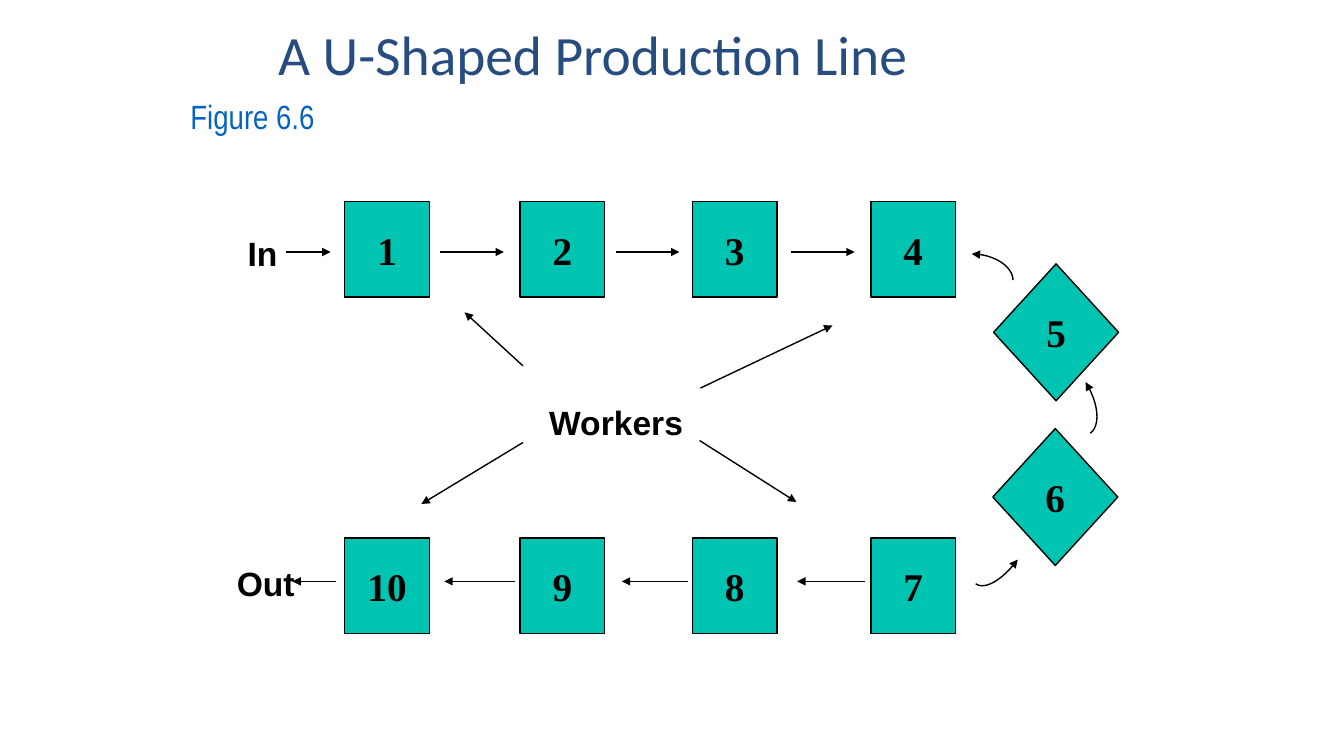
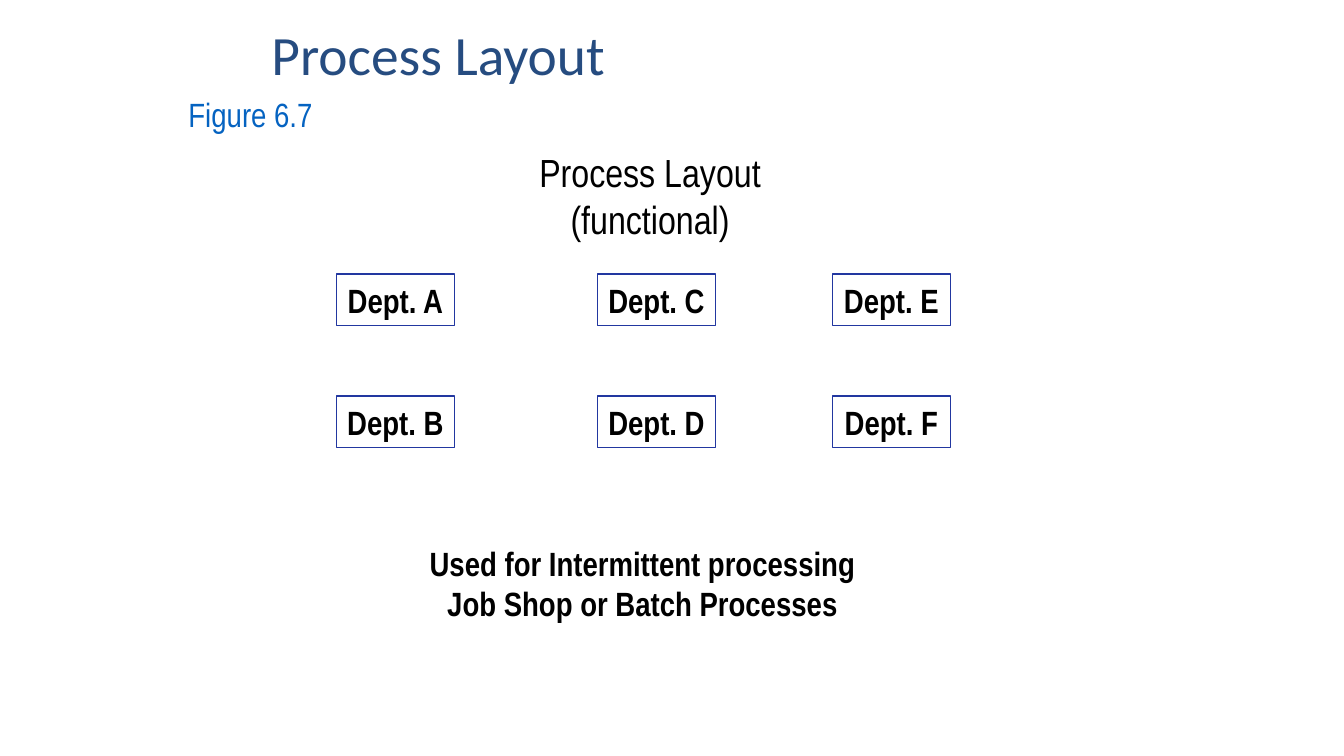
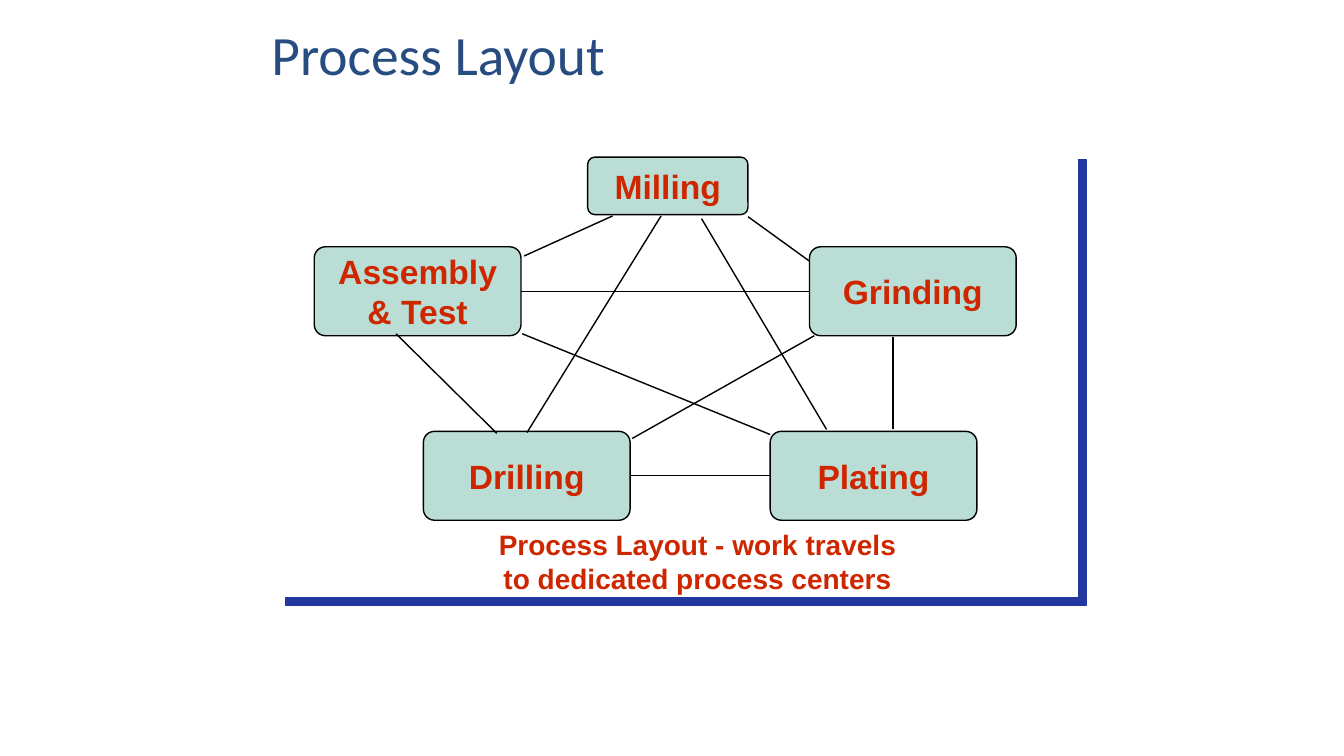
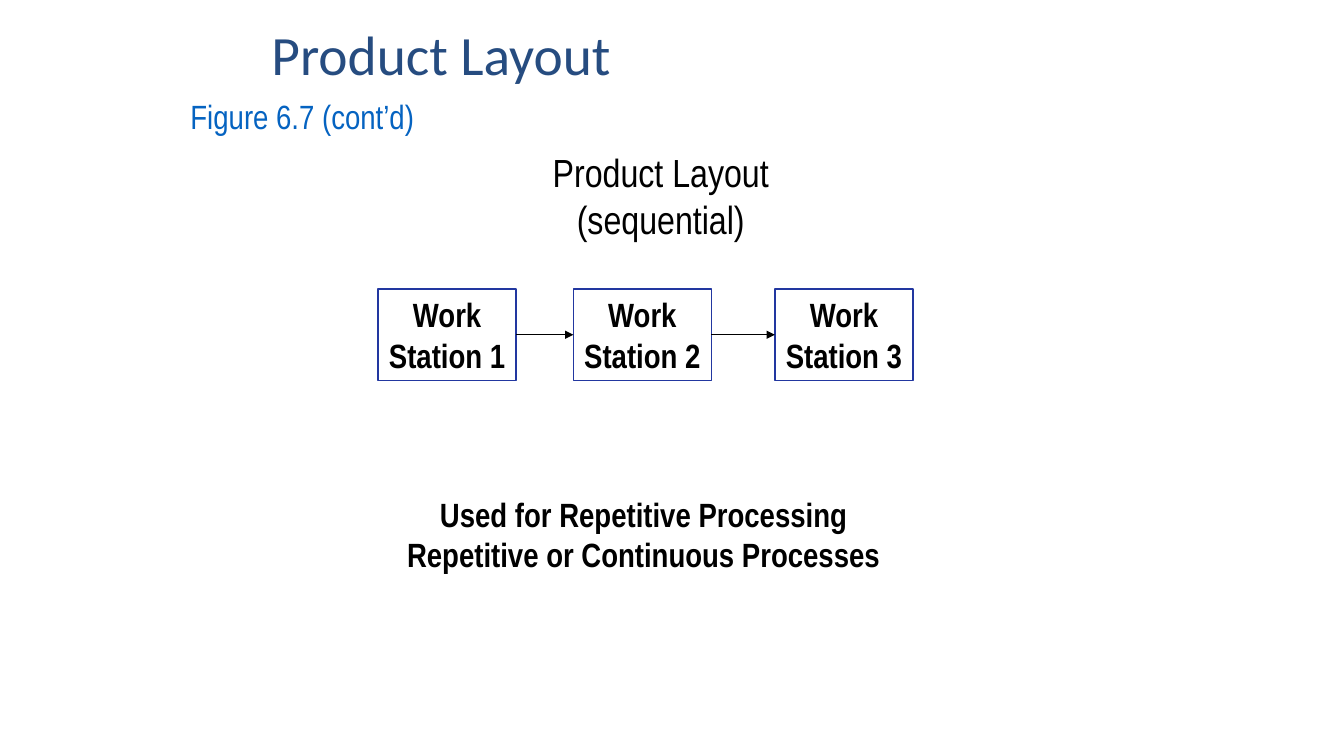
from lxml import etree
from pptx import Presentation
from pptx.dml.color import RGBColor
from pptx.enum.shapes import MSO_CONNECTOR, MSO_SHAPE
from pptx.enum.text import MSO_ANCHOR, MSO_AUTO_SIZE, PP_ALIGN
from pptx.oxml.ns import qn
from pptx.util import Cm, Pt

RECTANGLE, ROUNDED, DIAMOND = MSO_SHAPE.RECTANGLE, MSO_SHAPE.ROUNDED_RECTANGLE, MSO_SHAPE.DIAMOND
STRAIGHT = MSO_CONNECTOR.STRAIGHT
LEFT, CENTER = PP_ALIGN.LEFT, PP_ALIGN.CENTER
TOP, MIDDLE = MSO_ANCHOR.TOP, MSO_ANCHOR.MIDDLE
LEFT_SIDE, RIGHT_SIDE = 1, 3

TITLE_BLUE, FIGURE_BLUE, FRAME_BLUE = "264C80", "0563C1", "2237A0"
TEAL, MINT, RED, BLACK, WHITE = "00C4B2", "BADED5", "CE2700", "000000", "FFFFFF"
NARROW, SANS, SERIF = "Arial Narrow", "Arial", "Times New Roman"

color = RGBColor.from_string


def add_box(slide, at, text="", kind=None, fill=None, border=BLACK,
            font=NARROW, size=24, bold=True, ink=BLACK, align=CENTER):
    """Add a preset shape with centred text, or a plain text box when kind is None."""
    left, top, width, height = (Cm(value) for value in at)
    if kind is None:
        box = slide.shapes.add_textbox(left, top, width, height)
    else:
        box = slide.shapes.add_shape(kind, left, top, width, height)
        box.shadow.inherit = False
        box.line.color.rgb = color(border)
        box.line.width = Pt(1)
        if fill:
            box.fill.solid()
            box.fill.fore_color.rgb = color(fill)
        else:
            box.fill.background()
    frame = box.text_frame
    frame.word_wrap = kind is None
    frame.vertical_anchor = TOP if kind is None else MIDDLE
    frame.text = text
    for paragraph in frame.paragraphs:
        paragraph.alignment = align
        paragraph.font.name = font
        paragraph.font.size = Pt(size)
        paragraph.font.bold = bold
        paragraph.font.color.rgb = color(ink)
    return box


def add_line(slide, points, arrow=True):
    """Draw a connector through two points, or an open curve through more."""
    points = [(Cm(x), Cm(y)) for x, y in points]
    if len(points) == 2:
        line = slide.shapes.add_connector(STRAIGHT, *points[0], *points[1])
    else:
        builder = slide.shapes.build_freeform(*points[0])
        builder.add_line_segments(points[1:], close=False)
        line = builder.convert_to_shape()
        line.fill.background()
    line.line.color.rgb = color(BLACK)
    line.line.width = Pt(1)
    properties = line._element.spPr
    if arrow:
        etree.SubElement(properties.find(qn("a:ln")), qn("a:tailEnd"), type="triangle")
    etree.SubElement(properties, qn("a:effectLst"))
    return line


deck = Presentation()
deck.slide_width, deck.slide_height = Cm(33.87), Cm(19.05)

# Titles and figure numbers
slides = []
for title_text, title_left, figure, figure_left, figure_top in [
    ("A U-Shaped Production Line", 6.6, "Figure 6.6", 4.55, 2.29),
    ("Process Layout", 6.43, "Figure 6.7", 4.5, 2.24),
    ("Process Layout", 6.43, None, 0, 0),
    ("Product Layout", 6.43, "Figure 6.7 (cont’d)", 4.55, 2.29),
]:
    slide = deck.slides.add_slide(deck.slide_layouts[5])
    title = slide.shapes.title
    title.left, title.top = Cm(title_left), Cm(0.79)
    title.width, title.height = Cm(21.5), Cm(1.32)
    frame = title.text_frame
    frame.text = title_text
    frame.auto_size = MSO_AUTO_SIZE.NONE
    frame.vertical_anchor = MIDDLE
    frame.margin_left = Cm(0.41)
    heading = frame.paragraphs[0]
    heading.alignment = LEFT
    heading.line_spacing = 0.9
    heading.font.name = "Calibri"
    heading.font.size = Pt(39.6)
    heading.font.color.rgb = color(TITLE_BLUE)
    if figure:
        add_box(slide, (figure_left, figure_top, 7.5, 1.27), figure,
                bold=False, ink=FIGURE_BLUE, align=LEFT)
    slides.append(slide)
u_line, process, centers, product = slides

# U-shaped production line
stations = [(RECTANGLE, left, top, 2.13, 2.41, number)
            for top, numbers in [(5.08, (1, 2, 3, 4)), (13.56, (10, 9, 8, 7))]
            for left, number in zip((8.69, 13.11, 17.45, 21.95), numbers)]
stations += [(DIAMOND, 25.04, 6.65, 3.15, 3.45, 5), (DIAMOND, 25.02, 10.8, 3.15, 3.45, 6)]
for kind, left, top, width, height, number in stations:
    add_box(u_line, (left, top, width, height), str(number), kind, TEAL, font=SERIF, size=28)

for label, left, top in [("In", 5.99, 5.74), ("Out", 5.72, 14.07), ("Workers", 13.59, 10.01)]:
    add_box(u_line, (left, top, 4.2, 1.27), label, font=SANS, align=LEFT)

for y, spans in [
    (6.35, [(7.21, 8.33), (11.1, 12.7), (15.52, 17.12), (19.94, 21.54)]),
    (14.65, [(8.48, 7.37), (12.98, 11.2), (17.35, 15.67), (21.79, 20.09)]),
]:
    for start, end in spans:
        add_line(u_line, [(start, y), (end, y)])

for worker_arrow in [
    [(13.18, 9.22), (11.71, 7.87)],
    [(17.65, 9.78), (20.98, 8.2)],
    [(17.63, 11.1), (20.07, 12.65)],
    [(13.18, 11.15), (10.62, 12.7)],
]:
    add_line(u_line, worker_arrow)

# Bezier control points of the turns 7 to 6, 6 to 5 and 5 to 4
STEPS = 12
for controls in [
    [(24.59, 14.71), (24.82, 14.88), (25.27, 14.61), (25.65, 14.1)],
    [(27.48, 10.92), (27.74, 10.72), (27.69, 10.16), (27.36, 9.63)],
    [(25.53, 7.06), (25.53, 6.71), (25.04, 6.4), (24.49, 6.4)],
]:
    turn = []
    for step in range(STEPS + 1):
        t = step / STEPS
        weights = ((1 - t) ** 3, 3 * t * (1 - t) ** 2, 3 * t ** 2 * (1 - t), t ** 3)
        turn.append([sum(w * c for w, c in zip(weights, axis)) for axis in zip(*controls)])
    add_line(u_line, turn)

# Heading and use of each layout type
for slide, heading_text, heading_center, use, use_center, use_top in [
    (process, "Process Layout\n(functional)", 16.38,
     "Used for Intermittent processing\nJob Shop or Batch Processes", 16.19, 13.56),
    (product, "Product Layout\n(sequential)", 16.65,
     "Used for Repetitive Processing\nRepetitive or Continuous Processes", 16.22, 12.32),
]:
    add_box(slide, (heading_center - 7, 3.61, 14, 2.62), heading_text, size=28, bold=False)
    add_box(slide, (use_center - 7, use_top, 14, 2.31), use)

# Departments
for left, letters in [(8.48, "AB"), (15.06, "CD"), (20.98, "EF")]:
    for top, letter in zip((6.91, 9.98), letters):
        add_box(process, (left, top, 2.97, 1.3), f"Dept. {letter}", RECTANGLE, border=FRAME_BLUE)

# Process centers on a panel with a hard shadow
panel = add_box(centers, (6.99, 3.81, 20.17, 11.23), kind=RECTANGLE, fill=WHITE, border=WHITE)
shadow = etree.SubElement(panel._element.spPr.find(qn("a:effectLst")), qn("a:outerShdw"),
                          dist=str(Pt(8.5)), dir="2700000", algn="ctr", rotWithShape="0")
etree.SubElement(shadow, qn("a:srgbClr"), val=FRAME_BLUE)
add_box(centers, (4.88, 13.18, 25.4, 1.93),
        "Process Layout - work travels\vto dedicated process centers",
        font=SANS, size=20, ink=RED)

center_boxes = {}
for name, left, top, width, height in [
    ("Assembly\v& Test", 7.92, 6.22, 5.21, 2.24),
    ("Drilling", 10.67, 10.87, 5.21, 2.24),
    ("Grinding", 20.4, 6.22, 5.21, 2.24),
    ("Plating", 19.41, 10.87, 5.21, 2.24),
    ("Milling", 14.81, 3.96, 4.04, 1.45),
]:
    box = add_box(centers, (left, top, width, height), name, ROUNDED, MINT, font=SANS, ink=RED)
    box.adjustments[0] = 0.125
    center_boxes[name] = box

for route in [
    [(13.28, 10.9), (16.66, 5.44)],
    [(13.21, 6.45), (15.44, 5.44)],
    [(13.16, 8.41), (19.41, 10.95)],
    [(12.52, 10.92), (9.98, 8.41)],
    [(22.5, 10.82), (22.5, 8.48)],
    [(15.93, 11.05), (20.52, 8.46)],
    [(17.68, 5.51), (20.83, 10.82)],
    [(18.85, 5.46), (20.4, 6.58)],
]:
    add_line(centers, route, arrow=False)

# Work stations
station_boxes = [
    add_box(product, (left, 7.28, 3.48, 2.31), f"Work\nStation {number}", RECTANGLE,
            border=FRAME_BLUE)
    for number, left in enumerate((9.53, 14.45, 19.53), 1)
]

# Level links from side to side
for slide, first, second, arrow in [
    (centers, center_boxes["Assembly\v& Test"], center_boxes["Grinding"], False),
    (centers, center_boxes["Drilling"], center_boxes["Plating"], False),
    (product, station_boxes[0], station_boxes[1], True),
    (product, station_boxes[1], station_boxes[2], True),
]:
    link = add_line(slide, [(0, 0), (1, 1)], arrow)
    link.begin_connect(first, RIGHT_SIDE)
    link.end_connect(second, LEFT_SIDE)

deck.save("out.pptx")
